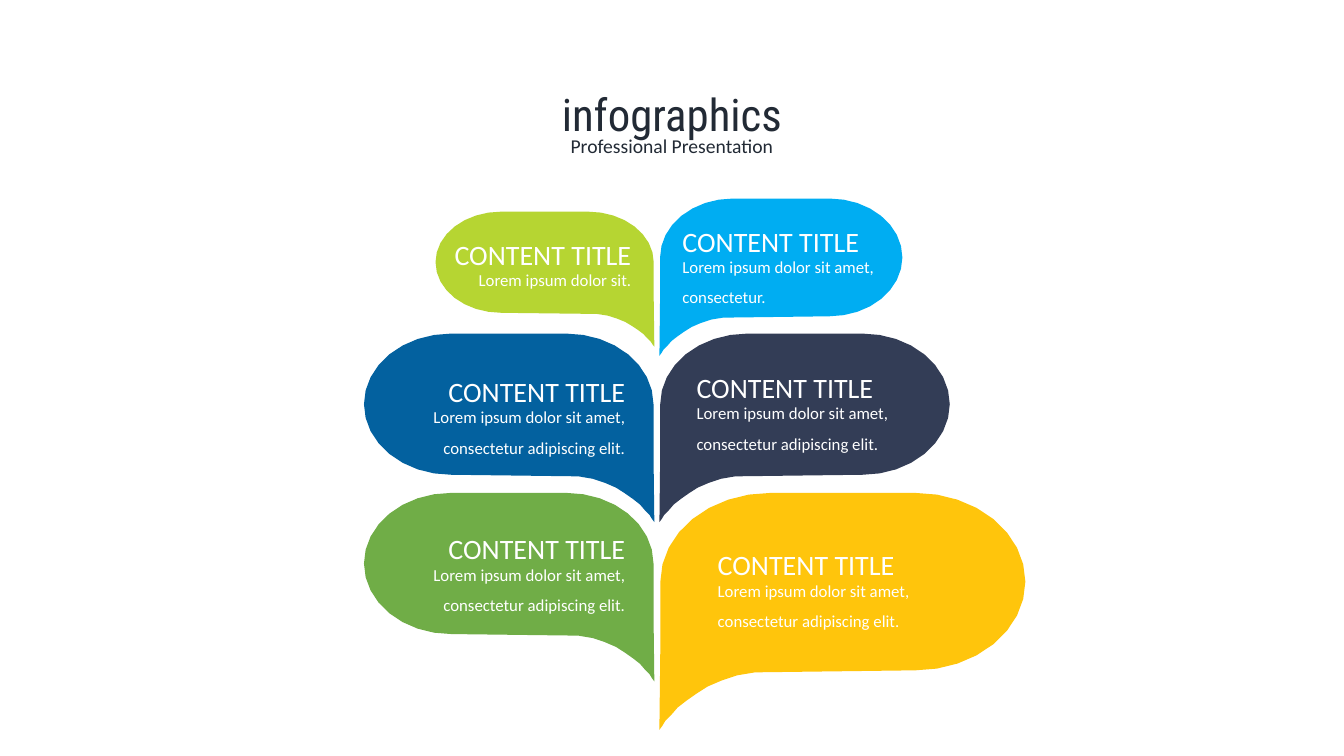
from math import cos, sin, radians
from pptx import Presentation
from pptx.util import Inches, Pt
from pptx.dml.color import RGBColor as RGB
from pptx.enum.text import PP_ALIGN as AL, MSO_ANCHOR as ANC, MSO_AUTO_SIZE as FIT

COLORS = {"ink": "222A35", "white": "FFFFFF", "navy": "333D56", "sky": "00ADF2",
          "lime": "B6D532", "blue": "03619F", "green": "70AD47", "gold": "FFC50C"}

deck = Presentation()
deck.slide_width, deck.slide_height = Inches(13.33), Inches(7.5)
slide = deck.slides.add_slide(deck.slide_layouts[5])


def write(box, text, size, color, align, font="Calibri", space=1.0):
    frame = box.text_frame
    frame.word_wrap = True
    frame.auto_size = FIT.SHAPE_TO_FIT_TEXT
    frame.vertical_anchor = ANC.TOP
    para = frame.paragraphs[0]
    para.alignment, para.line_spacing = align, space
    run = para.add_run()
    run.text = text
    run.font.name, run.font.size = font, Pt(size)
    run.font.color.rgb = RGB.from_string(COLORS[color])


def add_box(left, top, width, height):
    return slide.shapes.add_textbox(Inches(left), Inches(top), Inches(width), Inches(height))


# Heading
title = slide.shapes.title
title.left, title.top = Inches(0.88), Inches(0.81)
title.width, title.height = Inches(11.57), Inches(0.64)
write(title, "infographics", 32, "ink", AL.CENTER, "Roboto Condensed")
write(add_box(0.88, 1.28, 11.57, 0.34), "Professional Presentation", 14, "ink", AL.CENTER)

# Leaf outline, 3.63 by 2.35: two round ends, then a tail at the stem
WIDE, HIGH, RX, RY = 3.63, 2.35, 1.09, 0.88
STEPS = [radians(11.25 * i) for i in range(17)]
outline = [(1.1 - RX * cos(a), RY - RY * sin(a)) for a in STEPS[:9]]
outline += [(2.54 + RX * sin(a), RY - RY * cos(a)) for a in STEPS]
outline += [(0.95, 1.78), (0.77, 1.81), (0.62, 1.86), (0.48, 1.92), (0.37, 1.99),
            (0.27, 2.06), (0.18, 2.13), (0.12, 2.2), (0.06, 2.26), (0.03, 2.31),
            (0, 2.35), (0.01, 1.5)]

LONG = "Lorem ipsum dolor sit amet, consectetur adipiscing elit."
# color, side (1 right, -1 left), top, width, height, text left, text top, text width, body
leaves = [
    ("navy", 1, 3.31, 2.88, 1.87, 6.81, 3.46, 2.52, LONG),
    ("sky", 1, 1.97, 2.41, 1.56, 6.67, 2.01, 2.17, "Lorem ipsum dolor sit amet, consectetur."),
    ("lime", -1, 2.1, 2.17, 1.34, 3.84, 2.14, 2.52, "Lorem ipsum dolor sit."),
    ("blue", -1, 3.31, 2.88, 1.87, 3.78, 3.5, 2.52, LONG),
    ("green", -1, 4.89, 2.88, 1.87, 3.78, 5.06, 2.52, LONG),
    ("gold", 1, 4.89, 3.63, 2.35, 7.02, 5.22, 2.52, LONG),
]

# Leaves with their texts
for color, side, top, wide, high, left, head, span, body in leaves:
    stem = 6.54 if side > 0 else 6.49
    dots = [(Inches(stem + side * x * wide / WIDE), Inches(top + y * high / HIGH))
            for x, y in outline]
    pen = slide.shapes.build_freeform(*dots[0])
    pen.add_line_segments(dots[1:], close=True)
    leaf = pen.convert_to_shape()
    leaf.shadow.inherit = False
    leaf.fill.solid()
    leaf.fill.fore_color.rgb = RGB.from_string(COLORS[color])
    leaf.line.fill.background()

    align = AL.LEFT if side > 0 else AL.RIGHT
    tall = 0.4 if color == "lime" else 0.71
    write(add_box(left, head + 0.39, span, tall), body, 12, "white", align, space=1.5)
    write(add_box(left, head, span, 0.61), "CONTENT TITLE", 20, "white", align, space=1.5)

deck.save("out.pptx")
